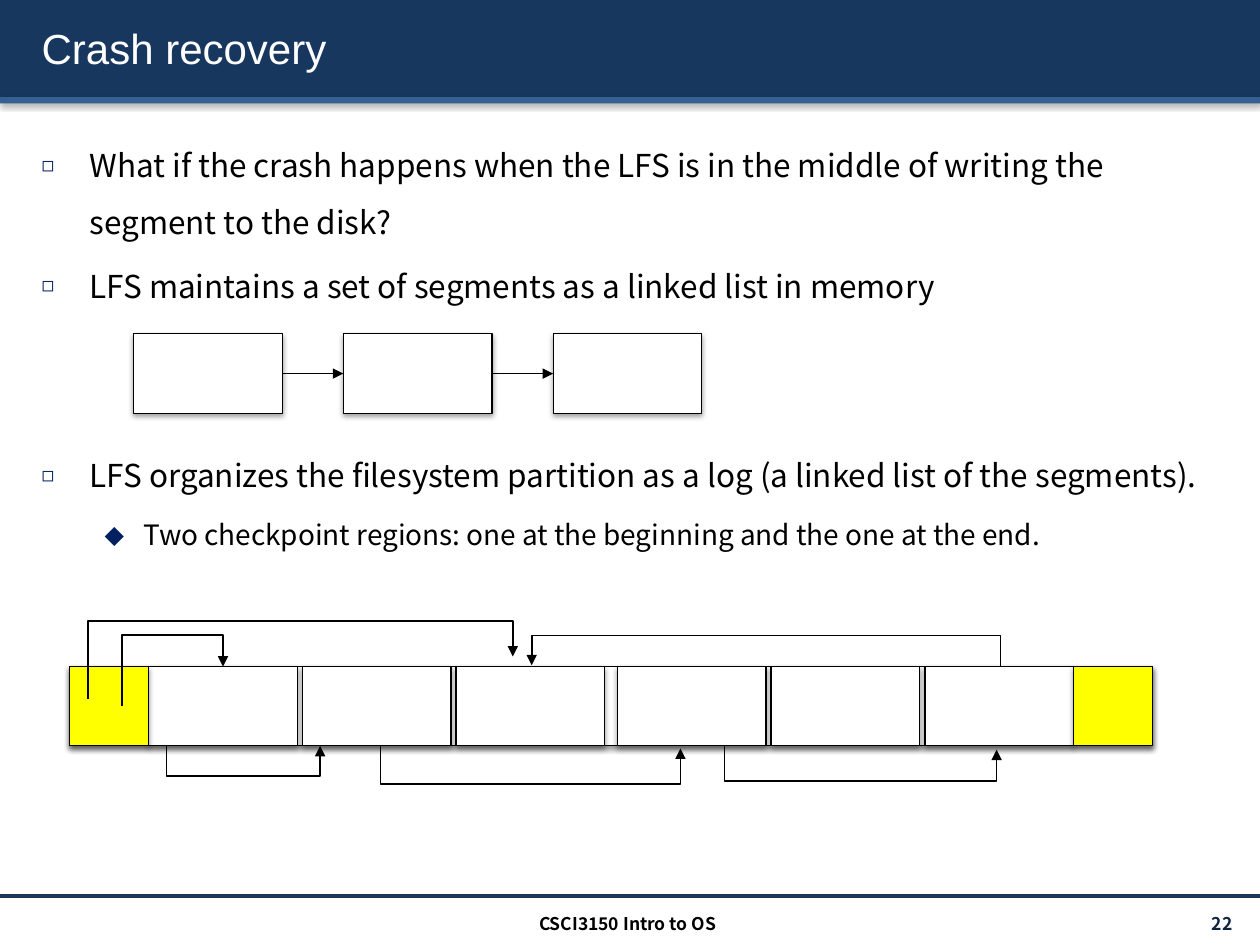
from dataclasses import dataclass

from lxml import etree
from pptx import Presentation
from pptx import util as u
from pptx.dml.color import RGBColor
from pptx.enum import shapes, text
from pptx.oxml import ns

Inches, Pt = u.Inches, u.Pt


@dataclass(frozen=True)
class Theme:
    navy: str = "17375E"
    steel: str = "376092"
    bullet: str = "002060"
    number: str = "0F243E"
    black: str = "000000"
    white: str = "FFFFFF"
    checkpoint: str = "FFFF00"
    heading_font: str = "Arial"
    body_font: str = "Noto Sans CJK KR"
    title_size: int = 24
    point_size: int = 18
    subpoint_size: int = 16
    footer_size: int = 10


THEME = Theme()
BLOCK_W, BLOCK_H = 1.18, 0.63


def add_xml(parent, tag, **attributes):
    element = etree.SubElement(parent, ns.qn(tag))
    for key, value in attributes.items():
        element.set(key, str(value))
    return element


def add_shadow(properties, blur=3.1, distance=1.6, direction=90, opacity=38):
    effects = add_xml(properties, "a:effectLst")
    shadow = add_xml(effects, "a:outerShdw", blurRad=Pt(blur), dist=Pt(distance),
                     dir=direction * 60000, rotWithShape=0)
    color = add_xml(shadow, "a:srgbClr", val=THEME.black)
    add_xml(color, "a:alpha", val=opacity * 1000)


def style_font(paragraph, name, size, color, bold=False):
    font = paragraph.font
    font.name, font.size, font.bold = name, Pt(size), bold
    font.color.rgb = RGBColor.from_string(color)


def place(part, box):
    part.left, part.top, part.width, part.height = map(Inches, box)


def add_block(slide, box, fill, outlined=True):
    block = slide.shapes.add_shape(shapes.MSO_SHAPE.RECTANGLE, *map(Inches, box))
    block.fill.solid()
    block.fill.fore_color.rgb = RGBColor.from_string(fill)
    if outlined:
        block.line.color.rgb = RGBColor.from_string(THEME.black)
        block.line.width = Pt(0.75)
    else:
        block.line.fill.background()
    add_shadow(block._element.spPr)
    return block


def add_line(slide, start, end, kind=shapes.MSO_CONNECTOR.STRAIGHT,
             color=THEME.black, width=1, arrow=True):
    line = slide.shapes.add_connector(kind, *map(Inches, (*start, *end)))
    line.line.color.rgb = RGBColor.from_string(color)
    line.line.width = Pt(width)
    if arrow:
        add_xml(line.line._get_or_add_ln(), "a:tailEnd", type="triangle")
    add_xml(line._element.spPr, "a:effectLst")
    return line


def add_loop(slide, start, end, turn_y):
    (x1, y1), (x2, y2) = start, end
    mid_x, mid_y = (x1 + x2) / 2, (y1 + y2) / 2
    turned = [(mid_x + mid_y - y, mid_y + x - mid_x) for x, y in (start, end)]
    loop = add_line(slide, *turned, kind=shapes.MSO_CONNECTOR.ELBOW)
    properties = loop._element.spPr
    properties.find(ns.qn("a:xfrm")).set("rot", str(270 * 60000))
    guides = properties.find(ns.qn("a:prstGeom")).find(ns.qn("a:avLst"))
    bend = round((turn_y - y1) / (y2 - y1) * 100000)
    add_xml(guides, "a:gd", name="adj1", fmla=f"val {bend}")


def add_header(slide, box):
    left, top, width, height = box
    bands = [((left, top, width, height - 0.05), THEME.navy),
             ((left, top + height - 0.05, width, 0.05), THEME.steel)]
    for position, (band_box, fill) in enumerate(bands, start=2):
        band = add_block(slide, band_box, fill, outlined=False)
        slide.shapes._spTree.insert(position, band._element)

    title = slide.shapes.title
    place(title, (left + 0.23, top + 0.06, 9.61, 0.64))
    title.text_frame.text = "Crash recovery"
    title.text_frame.vertical_anchor = text.MSO_ANCHOR.MIDDLE
    title.text_frame.auto_size = text.MSO_AUTO_SIZE.NONE
    heading = title.text_frame.paragraphs[0]
    heading.alignment = text.PP_ALIGN.LEFT
    style_font(heading, THEME.heading_font, THEME.title_size, THEME.white)
    add_shadow(heading.runs[0]._r.get_or_add_rPr(), 2, 2, 45, 100)


def add_points(slide, box):
    points = [
        ("What if the crash happens when the LFS is in the middle of writing "
         "the segment to the disk?", 0, 4),
        ("LFS maintains a set of segments as a linked list in memory", 0, 4),
        ("LFS organizes the filesystem partition as a log "
         "(a linked list of the segments).", 0, 76),
        ("Two checkpoint regions: one at the beginning and the one at the end.", 1, 4),
    ]
    levels = [(THEME.point_size, 0.38, 0.38, "◻", 65),
              (THEME.subpoint_size, 0.81, 0.31, "⬥", 100)]
    body = slide.placeholders[1]
    place(body, box)
    frame = body.text_frame
    frame.auto_size = text.MSO_AUTO_SIZE.NONE
    frame.text = "\n".join(wording for wording, _, _ in points)
    for paragraph, (_, level, gap) in zip(frame.paragraphs, points):
        size, margin, hanging, bullet, bullet_size = levels[level]
        paragraph.level = level
        paragraph.line_spacing = 1.5
        paragraph.space_before = Pt(gap)
        properties = paragraph._p.get_or_add_pPr()
        properties.set("marL", str(Inches(margin)))
        properties.set("indent", str(-Inches(hanging)))
        add_xml(add_xml(properties, "a:buClr"), "a:srgbClr", val=THEME.bullet)
        add_xml(properties, "a:buSzPct", val=bullet_size * 1000)
        add_xml(properties, "a:buChar", char=bullet)
        style_font(paragraph, THEME.body_font, size, THEME.black)


def add_memory_list(slide, box):
    left, top, width, height = box
    pitch = (width - BLOCK_W) / 2
    starts = [left + i * pitch for i in range(3)]
    for x in starts:
        add_block(slide, (x, top, BLOCK_W, height), THEME.white)
    for x, following in zip(starts, starts[1:]):
        middle = top + height / 2
        add_line(slide, (x + BLOCK_W, middle), (following, middle))


def add_disk_log(slide, box):
    left, top, width, height = box
    bottom = top + height
    add_block(slide, box, THEME.white)
    for i in range(6):
        x = left + BLOCK_H + i * 1.22 + (0.06 if i > 2 else 0)
        add_block(slide, (x, top, BLOCK_W, height), THEME.white)
    for x in (left, left + width - BLOCK_H):
        add_block(slide, (x, top, BLOCK_H, height), THEME.checkpoint)

    loops = [
        ((0.77, bottom - 0.01), (1.99, bottom), bottom + 0.24),
        ((2.47, bottom), (4.85, bottom + 0.02), bottom + 0.3),
        ((5.2, bottom), (7.36, bottom + 0.03), bottom + 0.28),
        ((7.39, top), (3.67, top - 0.01), top - 0.25),
        ((0.42, top + 0.31), (1.22, top), top - 0.25),
        ((0.15, top + 0.26), (3.52, top - 0.08), top - 0.36),
    ]
    for (x1, y1), (x2, y2), turn_y in loops:
        add_loop(slide, (left + x1, y1), (left + x2, y2), turn_y)


def add_footer(slide, box):
    left, top, width, _ = box
    add_line(slide, (left, top), (left + width, top),
             color=THEME.navy, width=2, arrow=False)
    labels = [
        ("CSCI3150 Intro to OS", 3.32, 3.32, text.PP_ALIGN.CENTER, THEME.black),
        ("22", 8.71, 1.17, text.PP_ALIGN.RIGHT, THEME.number),
    ]
    for wording, offset, label_width, alignment, color in labels:
        label = slide.shapes.add_textbox(
            *map(Inches, (left + offset, top + 0.1, label_width, 0.24)))
        frame = label.text_frame
        frame.word_wrap = True
        frame.vertical_anchor = text.MSO_ANCHOR.MIDDLE
        frame.text = wording
        paragraph = frame.paragraphs[0]
        paragraph.alignment = alignment
        style_font(paragraph, THEME.body_font, THEME.footer_size, color, bold=True)


def main():
    deck = Presentation()
    deck.slide_width, deck.slide_height = Inches(10), Inches(7.5)
    slide = deck.slides.add_slide(deck.slide_layouts[1])
    add_header(slide, (0, 0, 10, 0.82))
    add_points(slide, (0.23, 0.96, 9.61, 6.02))
    add_footer(slide, (0, 7.11, 10, 0.39))
    add_disk_log(slide, (0.55, 5.29, 8.6, BLOCK_H))
    add_memory_list(slide, (1.06, 2.65, 4.51, BLOCK_H))
    deck.save("out.pptx")


if __name__ == "__main__":
    main()
